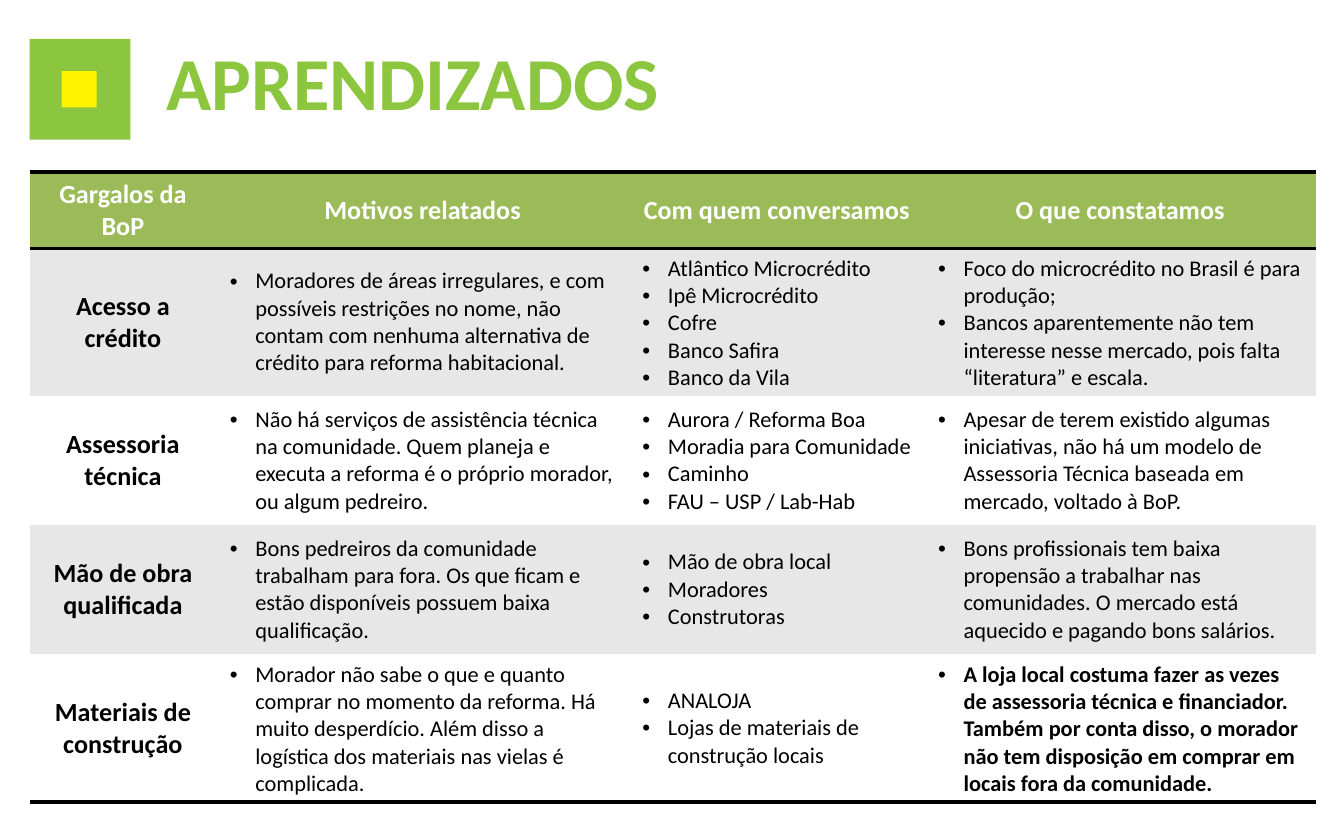
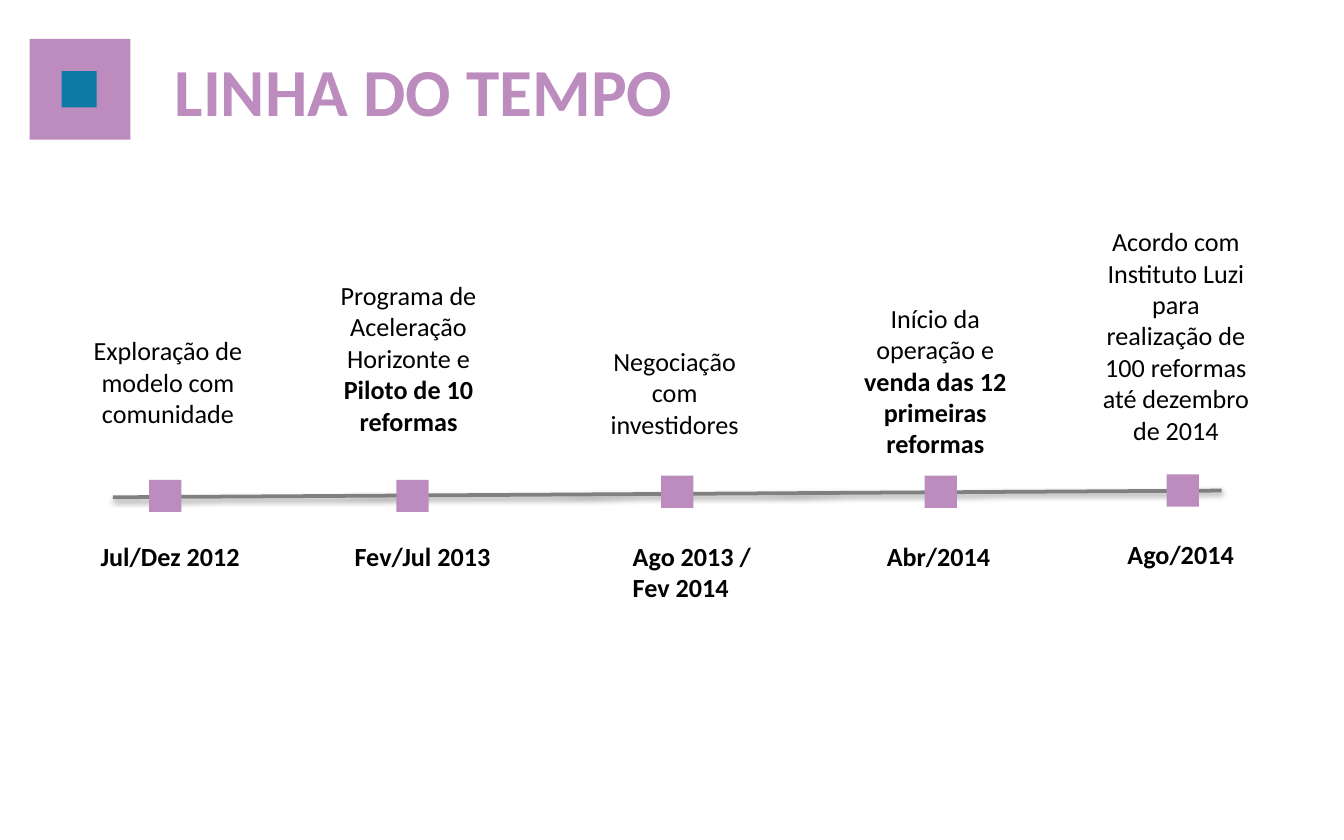
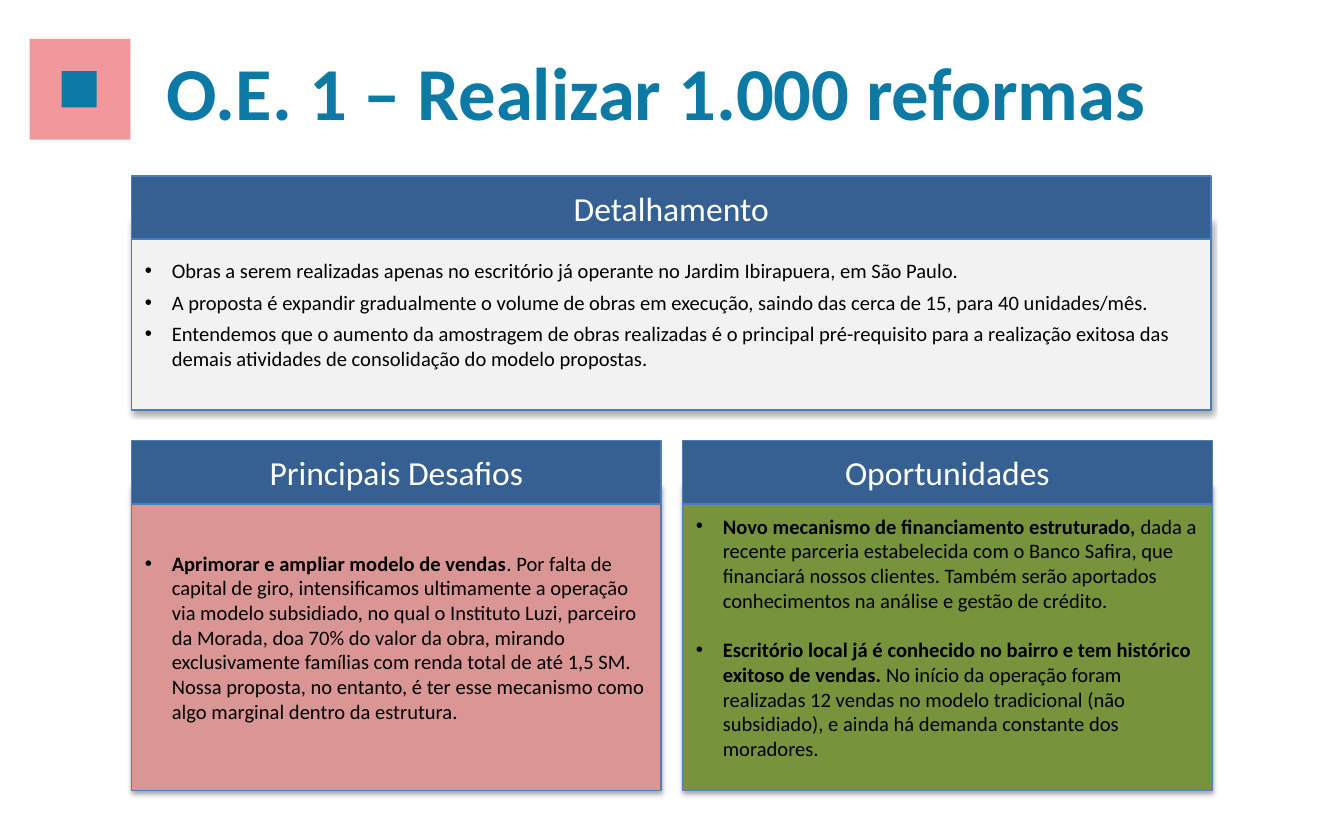
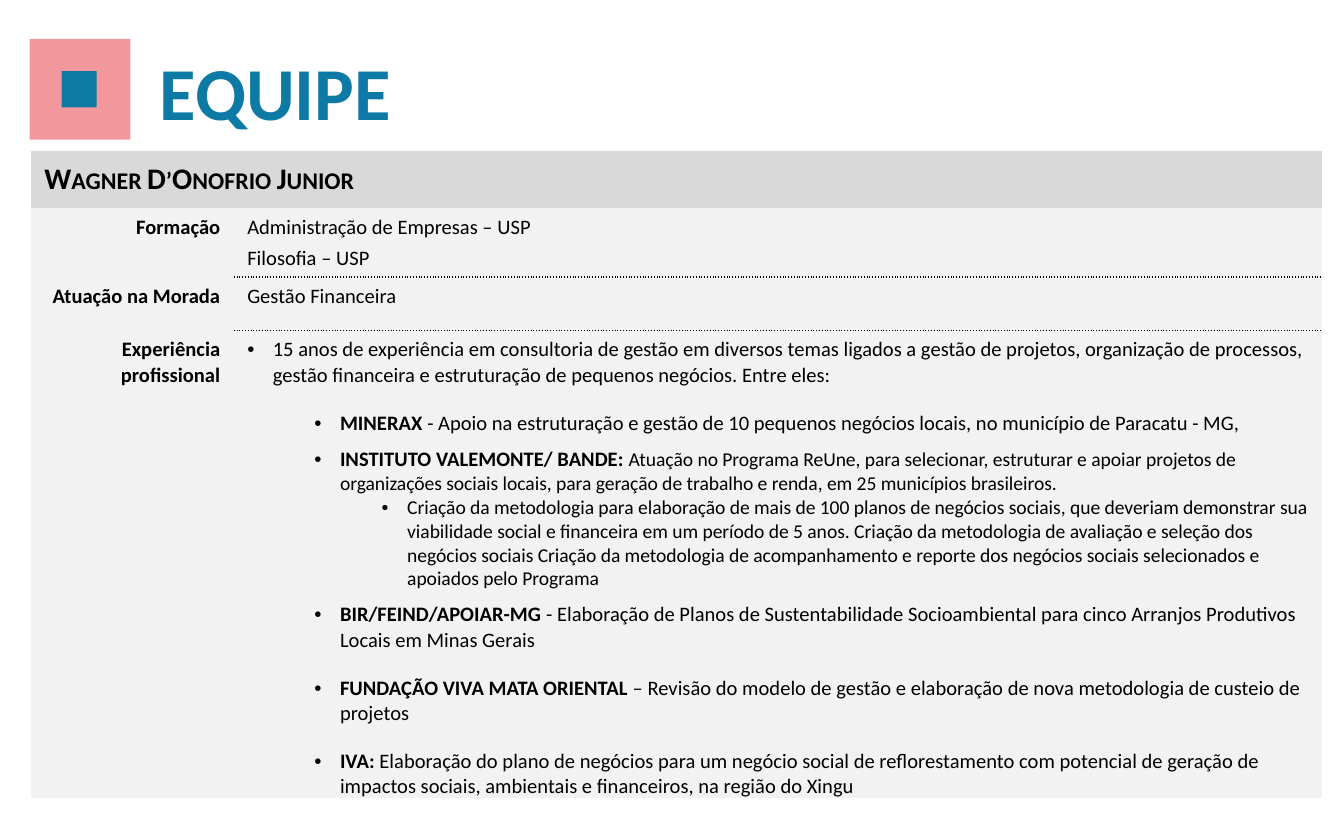
import dataclasses
import functools
import typing

import lxml.etree
import pptx
import pptx.dml.color
import pptx.enum.dml
import pptx.enum.shapes
import pptx.enum.text
import pptx.oxml.ns
import pptx.util

Inches = pptx.util.Inches
Pt = pptx.util.Pt
qn = pptx.oxml.ns.qn
Align = pptx.enum.text.PP_ALIGN
Anchor = pptx.enum.text.MSO_ANCHOR
RECT = pptx.enum.shapes.MSO_SHAPE.RECTANGLE
NO_STYLE = "{2D5ABB26-0587-4C30-8999-92F81FD0307C}"


@dataclasses.dataclass(frozen=True)
class Theme:
    font: str = "Calibri"
    black: str = "000000"
    white: str = "FFFFFF"
    lime: str = "8CC63F"
    yellow: str = "FFF200"
    lilac: str = "BD8CBF"
    teal: str = "0D7AA6"
    rose: str = "F2989D"
    olive: str = "9BBB59"
    stripe: str = "E7E7E7"
    pale: str = "F2F2F2"
    silver: str = "D9D9D9"
    gray: str = "808080"
    navy: str = "376092"
    edge: str = "4B7EBC"
    salmon: str = "D99694"
    moss: str = "77933C"
    title: float = 40
    head: float = 18
    name: float = 16
    label: float = 14
    cell: float = 12
    body: float = 11
    detail: float = 10.5


T = Theme()


class Box(typing.NamedTuple):
    left: float
    top: float
    width: float
    height: float

    def emu(self) -> list:
        return [Inches(value) for value in self]


@dataclasses.dataclass(frozen=True)
class Para:
    """A paragraph; text between ** marks is bold and takes the lead size."""
    text: str
    size: float = T.body
    color: str = T.black
    align: typing.Any = None
    indent: float = 0
    hang: float = 0
    level: int = 0
    before: float = 0
    after: float = 0
    lead: typing.Optional[float] = None
    caps: bool = False


@dataclasses.dataclass(frozen=True)
class Cell:
    paras: list
    fill: str
    anchor: typing.Any = Anchor.TOP
    edges: str = ""


@dataclasses.dataclass(frozen=True)
class Title:
    text: str
    box: Box
    color: str
    outer: str
    inner: str
    size: float = T.title
    wrap: bool = False


@dataclasses.dataclass(frozen=True)
class Stage:
    date: str
    when: Box
    text: str
    what: Box
    mark: tuple


@dataclasses.dataclass(frozen=True)
class Panel:
    head: str
    box: Box
    fill: str
    paras: list


def rgb(code: str) -> pptx.dml.color.RGBColor:
    return pptx.dml.color.RGBColor.from_string(code)


def style(item: typing.Any, values: dict) -> None:
    for key, value in values.items():
        setattr(item, key, value)


def node(parent: typing.Any, tag: str, **attrs: str) -> typing.Any:
    return lxml.etree.SubElement(parent, qn(tag), attrs)


def write(frame: typing.Any, paras: list) -> None:
    for place, para in enumerate(paras):
        line = frame.add_paragraph() if place else frame.paragraphs[0]
        if para.indent:
            props = line._p.get_or_add_pPr()
            props.set("marL", str(Inches(para.indent)))
            props.set("indent", str(-Inches(para.hang)))
            node(props, "a:buFont", typeface="Arial")
            node(props, "a:buChar", char="•")
        style(line, {"alignment": para.align or Align.LEFT, "level": para.level,
                     "space_before": Pt(para.before), "space_after": Pt(para.after)})
        for turn, part in enumerate(para.text.split("**")):
            if not part:
                continue
            bold = turn % 2 == 1
            run = line.add_run()
            run.text = part
            size = para.lead if bold and para.lead else para.size
            style(run.font, {"name": T.font, "size": Pt(size), "bold": bold})
            run.font.color.rgb = rgb(para.color)
            if para.caps:
                run._r.get_or_add_rPr().set("cap", "small")


def shade(shape: typing.Any, alpha: int, dist: float) -> None:
    """Add a soft shadow that falls straight down."""
    props = shape._element.spPr
    effects = props.find(qn("a:effectLst"))
    if effects is None:
        effects = node(props, "a:effectLst")
    drop = node(effects, "a:outerShdw", blurRad=str(Pt(3.1)), dist=str(Pt(dist)),
                dir="5400000", rotWithShape="0")
    node(node(drop, "a:srgbClr", val=T.black), "a:alpha", val=str(alpha * 1000))


def block(slide: typing.Any, box: Box, fill: str, edge: str = "") -> typing.Any:
    shape = slide.shapes.add_shape(RECT, *box.emu())
    shape.shadow.inherit = False
    shape.fill.solid()
    shape.fill.fore_color.rgb = rgb(fill)
    if edge:
        shape.line.color.rgb = rgb(edge)
        shape.line.width = Pt(0.75)
    else:
        shape.line.fill.background()
    return shape


def note(slide: typing.Any, box: Box, para: Para) -> None:
    frame = slide.shapes.add_textbox(*box.emu()).text_frame
    frame.word_wrap = True
    write(frame, [para])


def start(deck: typing.Any, title: Title) -> typing.Any:
    slide = deck.slides.add_slide(deck.slide_layouts[5])
    head = slide.shapes.title
    style(head, dict(zip(("left", "top", "width", "height"), title.box.emu())))
    style(head.text_frame, {"word_wrap": title.wrap, "vertical_anchor": Anchor.TOP,
                            "auto_size": pptx.enum.text.MSO_AUTO_SIZE.SHAPE_TO_FIT_TEXT})
    write(head.text_frame, [Para(f"**{title.text}**", title.size, title.color)])
    block(slide, Box(0.22, 0.29, 0.75, 0.75), title.outer)
    block(slide, Box(0.46, 0.53, 0.26, 0.27), title.inner)
    return slide


def border(cell: typing.Any, edges: str, width: float, dash: str) -> None:
    props = cell._tc.get_or_add_tcPr()
    for edge in edges:
        line = node(props, f"a:ln{edge}", w=str(Pt(width)))
        node(node(line, "a:solidFill"), "a:srgbClr", val=T.black)
        node(line, "a:prstDash", val=dash)


def grid(slide: typing.Any, spot: tuple, cols: list, rows: list, cells: list,
         width: float, dash: str) -> typing.Any:
    box = Box(*spot, sum(cols), sum(rows))
    table = slide.shapes.add_table(len(rows), len(cols), *box.emu()).table
    style(table, {"first_row": False, "horz_banding": False})
    table._tbl.tblPr.find(qn("a:tableStyleId")).text = NO_STYLE
    for col, size in zip(table.columns, cols):
        col.width = Inches(size)
    for row, size in zip(table.rows, rows):
        row.height = Inches(size)
    for row, line in enumerate(cells):
        for col, item in enumerate(line):
            cell = table.cell(row, col)
            border(cell, item.edges, width, dash)
            cell.fill.solid()
            cell.fill.fore_color.rgb = rgb(item.fill)
            cell.vertical_anchor = item.anchor
            write(cell.text_frame, item.paras)
    return table


HEADS = ["Gargalos da BoP", "Motivos relatados", "Com quem conversamos", "O que constatamos"]
GAPS = [
    ("Acesso a crédito",
     ["Moradores de áreas irregulares, e com possíveis restrições no nome, não contam com "
      "nenhuma alternativa de crédito para reforma habitacional."],
     ["Atlântico Microcrédito", "Ipê Microcrédito", "Cofre", "Banco Safira", "Banco da Vila"],
     ["Foco do microcrédito no Brasil é para produção;",
      "Bancos aparentemente não tem interesse nesse mercado, pois falta “literatura” e escala."]),
    ("Assessoria técnica",
     ["Não há serviços de assistência técnica na comunidade. Quem planeja e executa a reforma "
      "é o próprio morador, ou algum pedreiro."],
     ["Aurora / Reforma Boa", "Moradia para Comunidade", "Caminho", "FAU – USP / Lab-Hab"],
     ["Apesar de terem existido algumas iniciativas, não há um modelo de Assessoria Técnica "
      "baseada em mercado, voltado à BoP."]),
    ("Mão de obra qualificada",
     ["Bons pedreiros da comunidade trabalham para fora. Os que ficam e estão disponíveis "
      "possuem baixa qualificação."],
     ["Mão de obra local", "Moradores", "Construtoras"],
     ["Bons profissionais tem baixa propensão a trabalhar nas comunidades. O mercado está "
      "aquecido e pagando bons salários."]),
    ("Materiais de construção",
     ["Morador não sabe o que e quanto comprar no momento da reforma. Há muito desperdício. "
      "Além disso a logística dos materiais nas vielas é complicada."],
     ["ANALOJA", "Lojas de materiais de construção locais"],
     ["**A loja local costuma fazer as vezes de assessoria técnica e financiador. Também por "
      "conta disso, o morador não tem disposição em comprar em locais fora da comunidade.**"]),
]


def lessons(deck: typing.Any) -> None:
    slide = start(deck, Title("APRENDIZADOS", Box(1.14, 0.22, 3.91, 0.77),
                              T.lime, T.lime, T.yellow))
    label = functools.partial(Para, size=T.label, align=Align.CENTER)
    cells = [[Cell([label(f"**{head}**", color=T.white)], T.olive, Anchor.MIDDLE, "TB")
              for head in HEADS]]
    for place, (name, *lists) in enumerate(GAPS):
        fill = T.white if place % 2 else T.stripe
        edges = "B" if place == len(GAPS) - 1 else ""
        groups = [[label(f"**{name}**")]]
        groups += [[Para(text, T.cell, indent=0.19, hang=0.19) for text in texts]
                   for texts in lists]
        cells.append([Cell(group, fill, Anchor.MIDDLE, edges) for group in groups])
    grid(slide, (0.22, 1.28), [1.39, 3.07, 2.2, 2.91], [0.51] + [0.96] * len(GAPS),
         cells, 2, "solid")


STAGES = [
    Stage("Jul/Dez 2012", Box(0.65, 3.97, 1.26, 0.34),
          "Exploração de modelo com comunidade", Box(0.59, 2.44, 1.32, 0.81), (1.11, 3.57)),
    Stage("Fev/Jul 2013", Box(2.54, 3.97, 1.26, 0.34),
          "Programa de Aceleração Horizonte e **Piloto de 10 reformas**",
          Box(2.4, 2.03, 1.28, 1.28), (2.95, 3.57)),
    Stage("Ago 2013 / Fev 2014", Box(4.61, 3.97, 1.1, 0.57),
          "Negociação com investidores", Box(4.43, 2.52, 1.18, 0.81), (4.92, 3.54)),
    Stage("Abr/2014", Box(6.5, 3.97, 1.42, 0.34),
          "Início da operação e **venda das 12 primeiras reformas**",
          Box(6.28, 2.2, 1.36, 1.28), (6.88, 3.54)),
    Stage("Ago/2014", Box(8.29, 3.96, 1.42, 0.34),
          "Acordo com Instituto Luzi para realização de 100 reformas até dezembro de 2014",
          Box(8.07, 1.63, 1.36, 1.75), (8.68, 3.53)),
]


def timeline(deck: typing.Any) -> None:
    slide = start(deck, Title("LINHA DO TEMPO", Box(1.2, 0.32, 3.94, 0.71),
                              T.lilac, T.lilac, T.teal, size=36))
    axis = slide.shapes.add_connector(pptx.enum.shapes.MSO_CONNECTOR.STRAIGHT,
                                      *Box(0.84, 3.7, 9.09, 3.65).emu())
    axis.line.color.rgb = rgb(T.gray)
    axis.line.width = Pt(2)
    shade(axis, 38, 1.6)
    for stage in STAGES:
        note(slide, stage.when, Para(f"**{stage.date}**", T.label))
        note(slide, stage.what, Para(stage.text, T.label, align=Align.CENTER))
        block(slide, Box(*stage.mark, 0.24, 0.24), T.lilac)


point = functools.partial(Para, indent=0.2, hang=0.2)
PANELS = [
    Panel("Detalhamento", Box(0.98, 1.31, 8.03, 1.74), T.pale, [
        point("Obras a serem realizadas apenas no escritório já operante no Jardim Ibirapuera, "
              "em São Paulo."),
        point("A proposta é expandir gradualmente o volume de obras em execução, saindo das "
              "cerca de 15, para 40 unidades/mês.", before=3.7),
        point("Entendemos que o aumento da amostragem de obras realizadas é o principal "
              "pré-requisito para a realização exitosa das demais atividades de consolidação "
              "do modelo propostas.", before=3.7)]),
    Panel("Principais Desafios", Box(0.98, 3.28, 3.94, 2.6), T.salmon, [
        point("**Aprimorar e ampliar modelo de vendas**. Por falta de capital de giro, "
              "intensificamos ultimamente a operação via modelo subsidiado, no qual o "
              "Instituto Luzi, parceiro da Morada, doa 70% do valor da obra, mirando "
              "exclusivamente famílias com renda total de até 1,5 SM. Nossa proposta, no "
              "entanto, é ter esse mecanismo como algo marginal dentro da estrutura.")]),
    Panel("Oportunidades", Box(5.08, 3.28, 3.94, 2.6), T.moss, [
        point("**Novo mecanismo de financiamento estruturado,** dada a recente parceria "
              "estabelecida com o Banco Safira, que financiará nossos clientes. Também serão "
              "aportados conhecimentos na análise e gestão de crédito."),
        point("**Escritório local já é conhecido no bairro e tem histórico exitoso de "
              "vendas.** No início da operação foram realizadas 12 vendas no modelo "
              "tradicional (não subsidiado), e ainda há demanda constante dos moradores.",
              before=13.4)]),
]


def goal(deck: typing.Any) -> None:
    slide = start(deck, Title("O.E. 1 – Realizar 1.000 reformas", Box(1.14, 0.29, 8.58, 0.77),
                              T.teal, T.rose, T.teal, wrap=True))
    lap = 0.32
    for panel in PANELS:
        left, top, width, height = panel.box
        body = block(slide, Box(left, top + lap, width, height - lap), panel.fill, T.edge)
        shade(body, 35, 1.8)
        head = block(slide, Box(left, top, width, 0.47), T.navy, T.edge)
        title = Para(panel.head, T.head, T.white, Align.CENTER)
        for shape, paras in ((body, panel.paras), (head, [title])):
            style(shape.text_frame, {"word_wrap": True, "vertical_anchor": Anchor.MIDDLE})
            write(shape.text_frame, paras)


client = functools.partial(Para, indent=0.69, hang=0.19, level=1)
spaced = functools.partial(client, before=6, after=6)
CAREER = [
    Para("15 anos de experiência em consultoria de gestão em diversos temas ligados a gestão "
         "de projetos, organização de processos, gestão financeira e estruturação de pequenos "
         "negócios. Entre eles:", indent=0.19, hang=0.19, after=6),
    spaced("**MINERAX** - Apoio na estruturação e gestão de 10 pequenos negócios locais, no "
           "município de Paracatu - MG,"),
    client("**INSTITUTO VALEMONTE/ BANDE: **Atuação no Programa ReUne, para selecionar, "
           "estruturar e apoiar projetos de organizações sociais locais, para geração de "
           "trabalho e renda, em 25 municípios brasileiros.", T.detail, lead=T.body),
    Para("Criação da metodologia para elaboração de mais de 100 planos de negócios sociais, "
         "que deveriam demonstrar sua viabilidade social e financeira em um período de 5 anos. "
         "Criação da metodologia de avaliação e seleção dos negócios sociais Criação da "
         "metodologia de acompanhamento e reporte dos negócios sociais selecionados e apoiados "
         "pelo Programa", T.detail, indent=1.19, hang=0.19, level=2),
    spaced("**BIR/FEIND/APOIAR-MG** - Elaboração de Planos de Sustentabilidade Socioambiental "
           "para cinco Arranjos Produtivos Locais em Minas Gerais"),
    spaced("**FUNDAÇÃO VIVA MATA ORIENTAL **– Revisão do modelo de gestão e elaboração de nova "
           "metodologia de custeio de projetos"),
    spaced("**IVA: **Elaboração do plano de negócios para um negócio social de "
           "reflorestamento com potencial de geração de impactos sociais, ambientais e "
           "financeiros, na região do Xingu"),
]
FACTS = [
    ("Formação", [Para("Administração de Empresas – USP", after=3),
                  Para("Filosofia – USP", after=3)], "B"),
    ("Atuação na Morada", [Para("Gestão Financeira", after=3)], "TB"),
    ("Experiência profissional", CAREER, "T"),
]


def team(deck: typing.Any) -> None:
    slide = start(deck, Title("EQUIPE", Box(1.09, 0.29, 1.95, 0.77), T.teal, T.rose, T.teal))
    name = Para("**Wagner D’Onofrio Junior**", T.name, caps=True)
    cells = [[Cell([name], T.silver, Anchor.MIDDLE)]]
    for label, paras, edges in FACTS:
        side = Para(f"**{label}**", align=Align.RIGHT, after=3)
        cells.append([Cell([side], T.pale), Cell(paras, T.pale, edges=edges)])
    table = grid(slide, (0.23, 1.12), [1.51, 8.1], [0.43, 0.48, 0.4, 3.26], cells, 1, "sysDot")
    table.cell(0, 0).merge(table.cell(0, 1))


def main() -> None:
    deck = pptx.Presentation()
    style(deck, {"slide_width": Inches(10), "slide_height": Inches(6.25)})
    for build in (lessons, timeline, goal, team):
        build(deck)
    deck.save("out.pptx")


if __name__ == "__main__":
    main()
